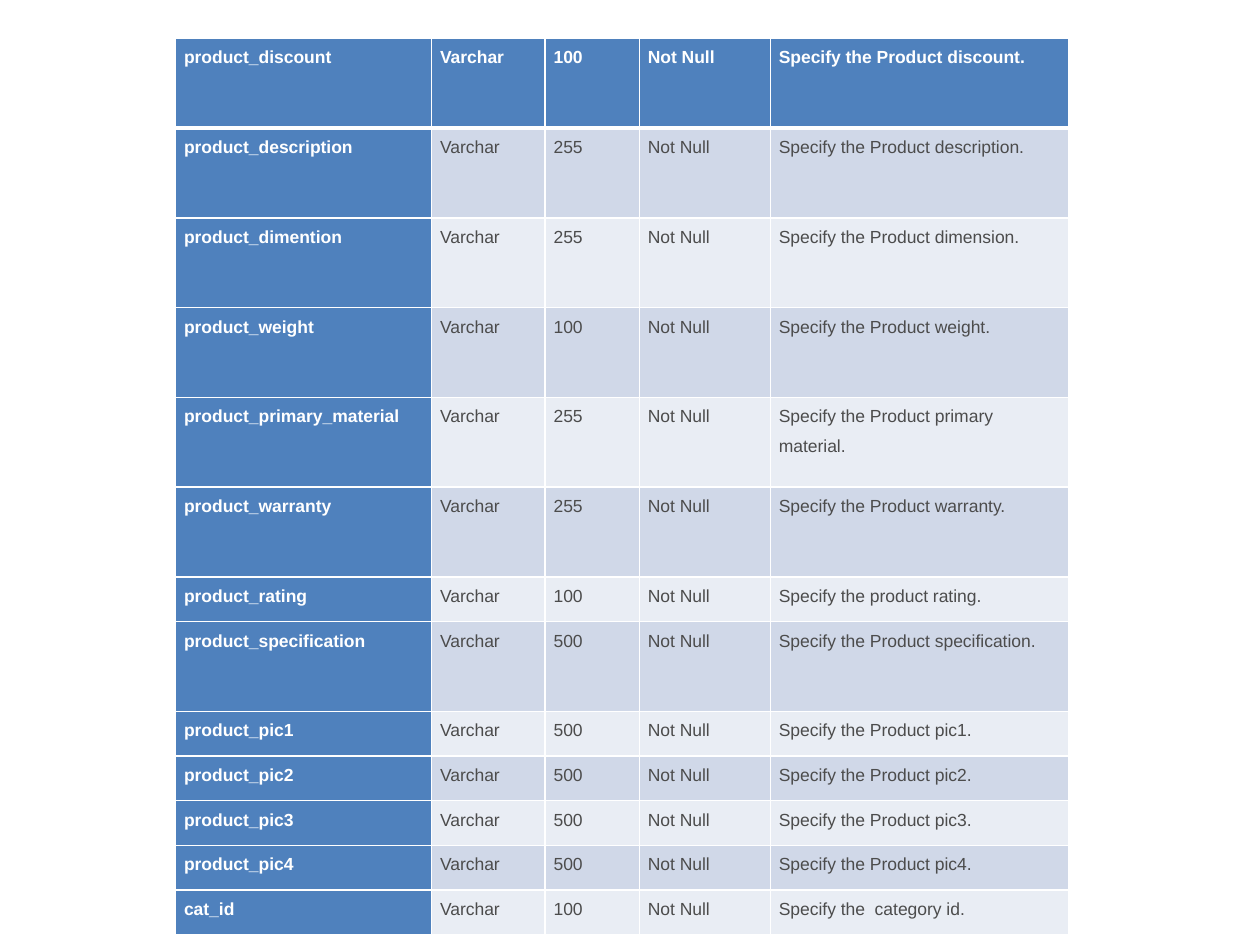
import pptx
import pptx.dml.color
import pptx.oxml
import pptx.oxml.ns
import pptx.util
from pptx.dml.color import RGBColor
from pptx.util import Cm

WHITE = RGBColor(0xFF, 0xFF, 0xFF)
BLUE = RGBColor(0x4F, 0x81, 0xBD)
DARK_BAND = RGBColor(0xD0, 0xD8, 0xE8)
LIGHT_BAND = RGBColor(0xE9, 0xED, 0xF4)
GREY = RGBColor(0x4C, 0x4C, 0x4C)

COLUMN_WIDTHS = [Cm(5.16), Cm(2.29), Cm(1.9), Cm(2.64), Cm(6.02)]
TALL_ROW = Cm(1.81)
SHORT_ROW = Cm(0.9)

# Field name, length, description, row height
FIELDS = [
    ("product_discount", "100", "Specify the Product discount.", TALL_ROW),
    ("product_description", "255", "Specify the Product description.", TALL_ROW),
    ("product_dimention", "255", "Specify the Product dimension.", TALL_ROW),
    ("product_weight", "100", "Specify the Product weight.", TALL_ROW),
    ("product_primary_material", "255", "Specify the Product primary material.", TALL_ROW),
    ("product_warranty", "255", "Specify the Product warranty.", TALL_ROW),
    ("product_rating", "100", "Specify the product rating.", SHORT_ROW),
    ("product_specification", "500", "Specify the Product specification.", TALL_ROW),
    ("product_pic1", "500", "Specify the Product pic1.", SHORT_ROW),
    ("product_pic2", "500", "Specify the Product pic2.", SHORT_ROW),
    ("product_pic3", "500", "Specify the Product pic3.", SHORT_ROW),
    ("product_pic4", "500", "Specify the Product pic4.", SHORT_ROW),
    ("cat_id", "100", "Specify the  category id.", SHORT_ROW),
]


def add_borders(cell, top, bottom):
    """Draw white borders; top and bottom are widths in points."""
    properties = cell._tc.get_or_add_tcPr()
    for side, width in (("L", 1), ("R", 1), ("T", top), ("B", bottom)):
        properties.append(pptx.oxml.parse_xml(
            f'<a:ln{side} {pptx.oxml.ns.nsdecls("a")} w="{pptx.util.Pt(width)}">'
            f'<a:solidFill><a:srgbClr val="{WHITE}"/></a:solidFill></a:ln{side}>'))


def fill_cell(cell, text, fill_color, is_heading):
    cell.margin_left = cell.margin_right = Cm(0.17)
    cell.margin_top = cell.margin_bottom = 0
    cell.fill.solid()
    cell.fill.fore_color.rgb = fill_color
    paragraph = cell.text_frame.paragraphs[0]
    paragraph.line_spacing = 1.5
    paragraph.space_after = pptx.util.Pt(8)
    run = paragraph.add_run()
    run.text = text
    run.font.name = "Arial"
    run.font.size = pptx.util.Pt(10)
    run.font.bold = is_heading
    run.font.color.rgb = WHITE if is_heading else GREY


def add_field_table(slide):
    table = slide.shapes.add_table(
        len(FIELDS), len(COLUMN_WIDTHS), Cm(3.54), Cm(0.77),
        sum(COLUMN_WIDTHS), sum(field[-1] for field in FIELDS)).table
    table.first_col = True
    for column, width in zip(table.columns, COLUMN_WIDTHS):
        column.width = width
    for row_index, (name, length, description, height) in enumerate(FIELDS):
        table.rows[row_index].height = height
        band = DARK_BAND if row_index % 2 else LIGHT_BAND
        texts = (name, "Varchar", length, "Not Null", description)
        for column_index, text in enumerate(texts):
            cell = table.cell(row_index, column_index)
            is_heading = row_index == 0 or column_index == 0
            add_borders(cell, top=3 if row_index == 1 else 1,
                        bottom=3 if row_index == 0 else 1)
            fill_cell(cell, text, BLUE if is_heading else band, is_heading)


def main():
    presentation = pptx.Presentation()
    presentation.slide_width = Cm(25.4)
    presentation.slide_height = Cm(19.05)
    blank_layout = presentation.slide_layouts[6]
    slide = presentation.slides.add_slide(blank_layout)
    add_field_table(slide)
    presentation.save("out.pptx")


if __name__ == "__main__":
    main()
